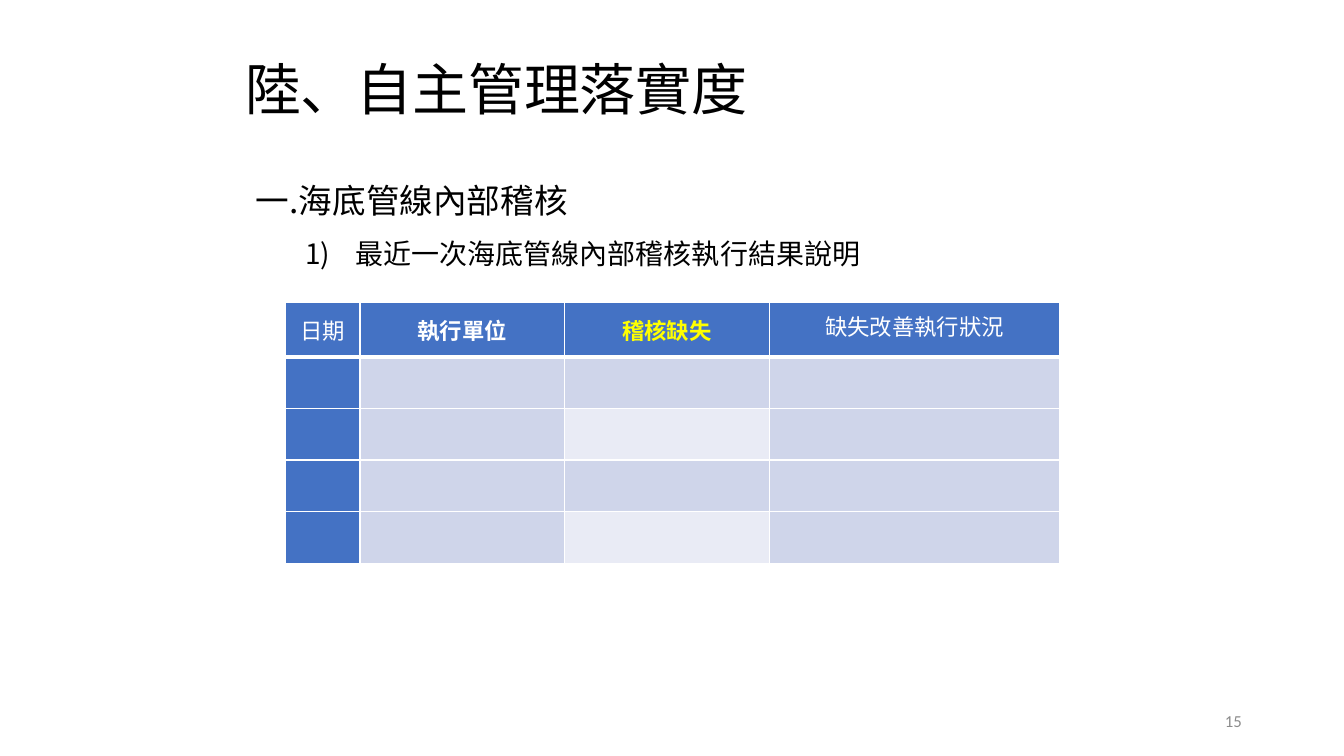
"""Build the slide on internal audits of subsea pipelines."""
from lxml import etree
from pptx import Presentation
from pptx.dml.color import RGBColor
from pptx.enum.text import MSO_ANCHOR, MSO_AUTO_SIZE, PP_ALIGN
from pptx.oxml.ns import qn
from pptx.util import Cm, Pt

LEFT, CENTER, RIGHT = PP_ALIGN.LEFT, PP_ALIGN.CENTER, PP_ALIGN.RIGHT
MIDDLE = MSO_ANCHOR.MIDDLE
GROW = MSO_AUTO_SIZE.SHAPE_TO_FIT_TEXT
CJK = "Noto Sans CJK SC"
BLUE, PALE, LIGHT = "4472C4", "CFD5EA", "E9EBF5"
WHITE, BLACK = "FFFFFF", "000000"


def color(code):
    return RGBColor.from_string(code)


def style(para, size, code, align=LEFT, space=None, face=CJK, bold=False):
    para.alignment = align
    para.line_spacing = space
    for run in para.runs:
        font = run.font
        font.size, font.name, font.bold = Pt(size), face, bold
        font.color.rgb = color(code)
        props = run._r.get_or_add_rPr()
        etree.SubElement(props, qn("a:ea")).set("typeface", face)


prs = Presentation()
prs.slide_width, prs.slide_height = Cm(33.87), Cm(19.05)
slide = prs.slides.add_slide(prs.slide_layouts[5])

title = slide.shapes.title
title.left, title.top = Cm(6.15), Cm(1.55)
title.width, title.height = Cm(19.38), Cm(1.55)
frame = title.text_frame
frame.text = "陸、自主管理落實度"
frame.margin_left = frame.margin_right = frame.margin_top = frame.margin_bottom = 0
frame.vertical_anchor = MIDDLE
frame.word_wrap = True
frame.auto_size = GROW
head = frame.paragraphs[0]
head._p.get_or_add_pPr().set("marL", str(Cm(0.03)))
style(head, 40, BLACK, space=0.9)
head.runs[0]._r.get_or_add_rPr().set("spc", "-10")

page = slide.shapes.add_textbox(Cm(23.93), Cm(17.65), Cm(7.62), Cm(1.02)).text_frame
page.text = "15"
page.word_wrap = True
page.vertical_anchor = MIDDLE
style(page.paragraphs[0], 12, "8C8C8C", RIGHT, face="Calibri")

body = slide.shapes.add_textbox(Cm(6.2), Cm(3.89), Cm(20.96), Cm(2.92)).text_frame
body.word_wrap = True
body.auto_size = GROW
body.text = "一.海底管線內部稽核"
style(body.paragraphs[0], 24, BLACK, space=1.5)
item = body.add_paragraph()
item.text = "最近一次海底管線內部稽核執行結果說明"
style(item, 20, BLACK, space=1.5)
props = item._p.get_or_add_pPr()
props.set("marL", str(Cm(2.51)))
props.set("indent", str(Cm(-1.27)))
bullet = etree.SubElement(props, qn("a:buFont"))
bullet.set("typeface", "+mj-lt")
etree.SubElement(props, qn("a:buAutoNum")).set("type", "arabicParenR")

heads = [
    ("日期", WHITE, False, None),
    ("執行單位", WHITE, True, None),
    ("稽核缺失", "FFFF00", True, None),
    ("缺失改善執行狀況", WHITE, False, Pt(18)),
]
widths = [1.88, 5.16, 5.16, 7.32]
heights = [1.37] + [1.3] * 4
table = slide.shapes.add_table(
    len(heights), len(widths), Cm(7.19), Cm(7.62), Cm(sum(widths)), Cm(sum(heights))
).table
for col, width in zip(table.columns, widths):
    col.width = Cm(width)
for row, height in zip(table.rows, heights):
    row.height = Cm(height)

for r in range(len(heights)):
    for c in range(len(widths)):
        cell = table.cell(r, c)
        props = cell._tc.get_or_add_tcPr()
        for side in ("lnL", "lnR", "lnT", "lnB"):
            line = etree.SubElement(props, qn("a:" + side))
            line.set("w", str(Pt(3 if r == 0 and side == "lnB" else 1)))
            fill = etree.SubElement(line, qn("a:solidFill"))
            etree.SubElement(fill, qn("a:srgbClr")).set("val", WHITE)
        if r == 0 or c == 0:
            shade = BLUE
        elif c == 2 and r % 2 == 0:
            shade = LIGHT
        else:
            shade = PALE
        cell.fill.solid()
        cell.fill.fore_color.rgb = color(shade)

for c, (text, code, bold, space) in enumerate(heads):
    cell = table.cell(0, c)
    cell.text = text
    cell.vertical_anchor = MIDDLE
    cell.margin_left = cell.margin_right = Cm(0.18)
    cell.margin_top = cell.margin_bottom = 0
    style(cell.text_frame.paragraphs[0], 16, code, CENTER, space, bold=bold)

prs.save("out.pptx")
